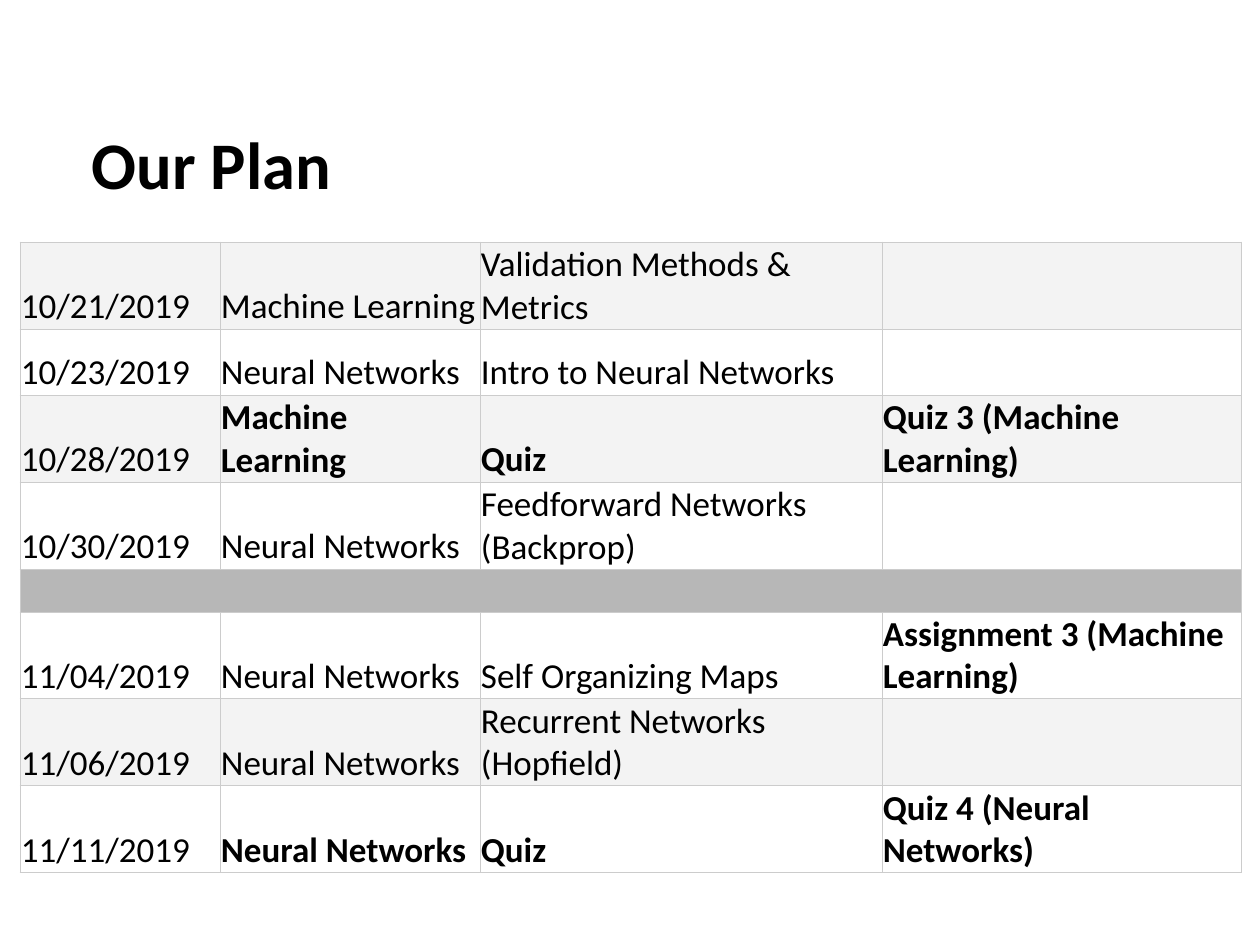
"""Build the course plan slide with its schedule table."""
from lxml.etree import SubElement as Sub
from pptx import Presentation
from pptx.dml.color import RGBColor as Rgb
from pptx.enum.text import MSO_ANCHOR as Anchor
from pptx.oxml.ns import qn
from pptx.util import Pt

PX = 914400 // 126
HUES = {"ink": "000000", "line": "CCCCCC", "band": "F3F3F3", "plain": "FFFFFF", "gap": "B7B7B7"}
WIDTHS = [200, 260, 402, 359]
PLAN = [
    (87, "10/21/2019", "Machine Learning", "Validation Methods & Metrics", ""),
    (66, "10/23/2019", "Neural Networks", "Intro to Neural Networks", ""),
    (87, "10/28/2019", "Machine Learning", "Quiz", "Quiz 3 (Machine Learning)"),
    (87, "10/30/2019", "Neural Networks", "Feedforward Networks (Backprop)", ""),
    (43, "", "", "", ""),
    (87, "11/04/2019", "Neural Networks", "Self Organizing Maps", "Assignment 3 (Machine Learning)"),
    (87, "11/06/2019", "Neural Networks", "Recurrent Networks (Hopfield)", ""),
    (87, "11/11/2019", "Neural Networks", "Quiz", "Quiz 4 (Neural Networks)"),
]


def write(frame, text, size=20, bold=False):
    run = frame.paragraphs[0].add_run()
    run.text = text
    font = run.font
    font.name, font.size, font.bold = "Calibri", Pt(size), bold
    font.color.rgb = Rgb.from_string(HUES["ink"])


def edge(cell):
    props = cell._tc.get_or_add_tcPr()
    for side in ("a:lnL", "a:lnR", "a:lnT", "a:lnB"):
        line = Sub(props, qn(side), w=str(Pt(0.38)))
        fill = Sub(line, qn("a:solidFill"))
        Sub(fill, qn("a:srgbClr"), val=HUES["line"])


deck = Presentation()
deck.slide_width, deck.slide_height = 1260 * PX, 945 * PX
slide = deck.slides.add_slide(deck.slide_layouts[6])

title = slide.shapes.add_textbox(79 * PX, 42 * PX, 1102 * PX, 167 * PX).text_frame
title.word_wrap = True
title.vertical_anchor = Anchor.BOTTOM
write(title, "Our Plan", size=38, bold=True)

high = sum(row[0] for row in PLAN)
grid = slide.shapes.add_table(
    len(PLAN), len(WIDTHS), 20 * PX, 242 * PX, sum(WIDTHS) * PX, high * PX
).table
grid.first_row = grid.horz_banding = False
for col, width in zip(grid.columns, WIDTHS):
    col.width = width * PX

for r, (tall, *texts) in enumerate(PLAN):
    grid.rows[r].height = tall * PX
    hue = "plain" if r % 2 else "band" if any(texts) else "gap"
    for c, text in enumerate(texts):
        cell = grid.cell(r, c)
        cell.margin_left = cell.margin_right = PX
        cell.margin_top = cell.margin_bottom = PX
        cell.vertical_anchor = Anchor.BOTTOM
        edge(cell)
        cell.fill.solid()
        cell.fill.fore_color.rgb = Rgb.from_string(HUES[hue])
        if text:
            write(cell.text_frame, text, bold=c == 3 or (c > 0 and texts[2] == "Quiz"))
    if hue == "gap":
        grid.cell(r, 0).merge(grid.cell(r, len(WIDTHS) - 1))

deck.save("out.pptx")
